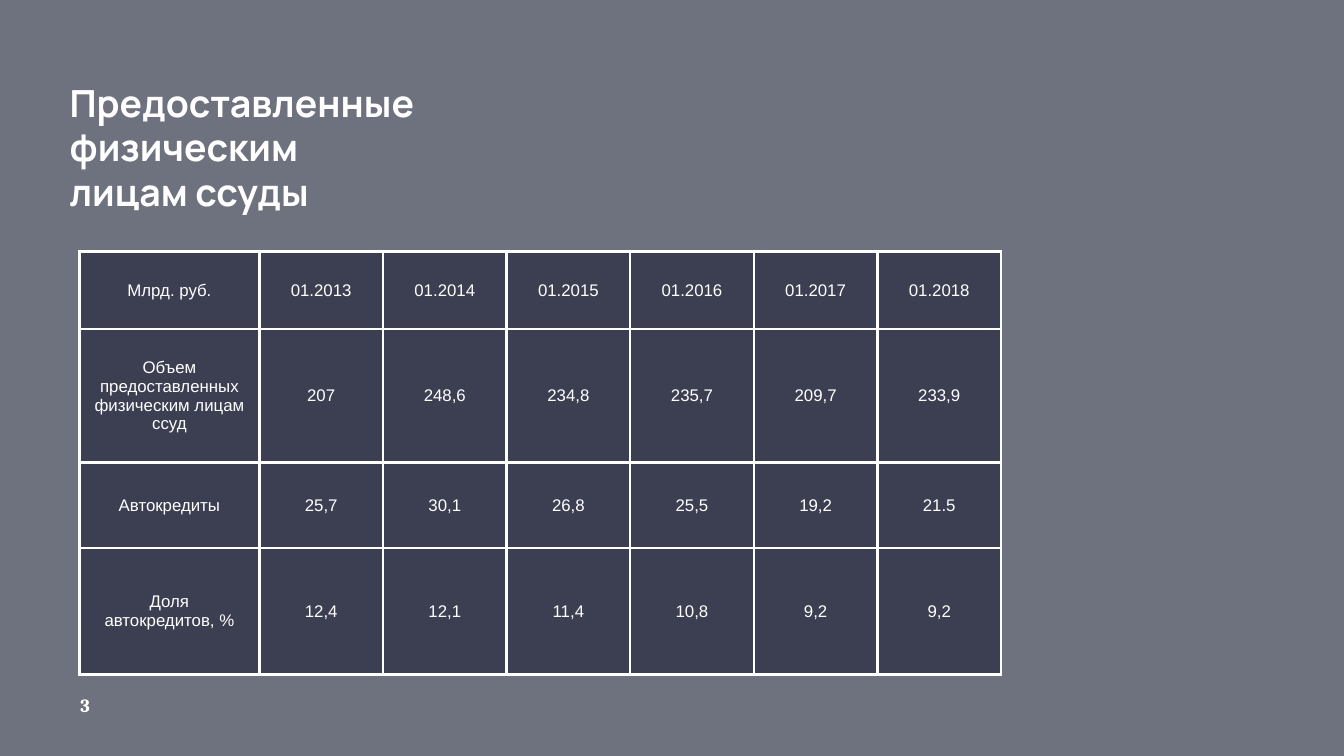
from lxml import etree
from pptx import Presentation
from pptx import util as u
from pptx.dml.color import RGBColor
from pptx.enum import shapes, text
from pptx.oxml.ns import qn

WHITE = "FFFFFF"
NAVY = "212539"


def paint(fill, color, alpha=100):
    fill.solid()
    fill.fore_color.rgb = RGBColor.from_string(color)
    if alpha < 100:
        tint = fill._xPr.find(qn("a:solidFill"))[0]
        etree.SubElement(tint, qn("a:alpha"), val=str(alpha * 1000))


def write(paragraph, words, size, font, bold=False):
    run = paragraph.add_run()
    run.text = words
    run.font.size = u.Pt(size)
    run.font.name = font
    run.font.bold = bold
    paint(run.font.fill, WHITE)


prs = Presentation()
prs.slide_width = u.Inches(10)
prs.slide_height = u.Inches(10) * 9 // 16
slide = prs.slides.add_slide(prs.slide_layouts[6])
paint(slide.background.fill, WHITE)

backdrop = slide.shapes.add_shape(
    shapes.MSO_SHAPE.RECTANGLE, 0, 0, prs.slide_width, prs.slide_height)
backdrop.shadow.inherit = False
backdrop.line.fill.background()
paint(backdrop.fill, NAVY, 65)

labels = [
    ("3", (0.5, 5.11, 0.6, 0.27), 10, "Cambria", text.MSO_ANCHOR.MIDDLE, None),
    ("Предоставленные физическим лицам ссуды", (0.42, 0.53, 2.77, 1.16), 20,
     "Manrope", text.MSO_ANCHOR.BOTTOM, u.Pt(23.8)),
]
for words, place, size, font, anchor, spacing in labels:
    frame = slide.shapes.add_textbox(*map(u.Inches, place)).text_frame
    frame.word_wrap = True
    frame.vertical_anchor = anchor
    frame.margin_left = frame.margin_right = u.Inches(0.1)
    frame.margin_top = frame.margin_bottom = u.Inches(0.1)
    frame.paragraphs[0].line_spacing = spacing
    write(frame.paragraphs[0], words, size, font, True)

loans = [
    ["Млрд. руб.", "01.2013", "01.2014", "01.2015", "01.2016", "01.2017", "01.2018"],
    ["Объем предоставленных физическим лицам ссуд",
     "207", "248,6", "234,8", "235,7", "209,7", "233,9"],
    ["Автокредиты", "25,7", "30,1", "26,8", "25,5", "19,2", "21.5"],
    ["Доля автокредитов, %", "12,4", "12,1", "11,4", "10,8", "9,2", "9,2"],
]
widths = [1.34] + [0.92] * 6
heights = [0.58, 0.99, 0.64, 0.94]
table = slide.shapes.add_table(
    len(heights), len(widths), u.Inches(0.59), u.Inches(1.87),
    u.Inches(sum(widths)), u.Inches(sum(heights))).table
table.first_row = False
table.horz_banding = False
for column, width in zip(table.columns, widths):
    column.width = u.Inches(width)
for row, height, values in zip(table.rows, heights, loans):
    row.height = u.Inches(height)
    for cell, value in zip(row.cells, values):
        cell.vertical_anchor = text.MSO_ANCHOR.MIDDLE
        cell.margin_left = cell.margin_right = u.Inches(0.1)
        cell.margin_top = cell.margin_bottom = u.Inches(0.07)
        paragraph = cell.text_frame.paragraphs[0]
        paragraph.alignment = text.PP_ALIGN.CENTER
        write(paragraph, value, 9, "Arial")
        borders = cell._tc.get_or_add_tcPr()
        for side in ("lnL", "lnR", "lnT", "lnB"):
            edge = etree.SubElement(borders, qn("a:" + side), w=str(u.Pt(1.5)))
            ink = etree.SubElement(edge, qn("a:solidFill"))
            etree.SubElement(ink, qn("a:srgbClr"), val=WHITE)
        paint(cell.fill, NAVY, 65)

prs.save("out.pptx")
